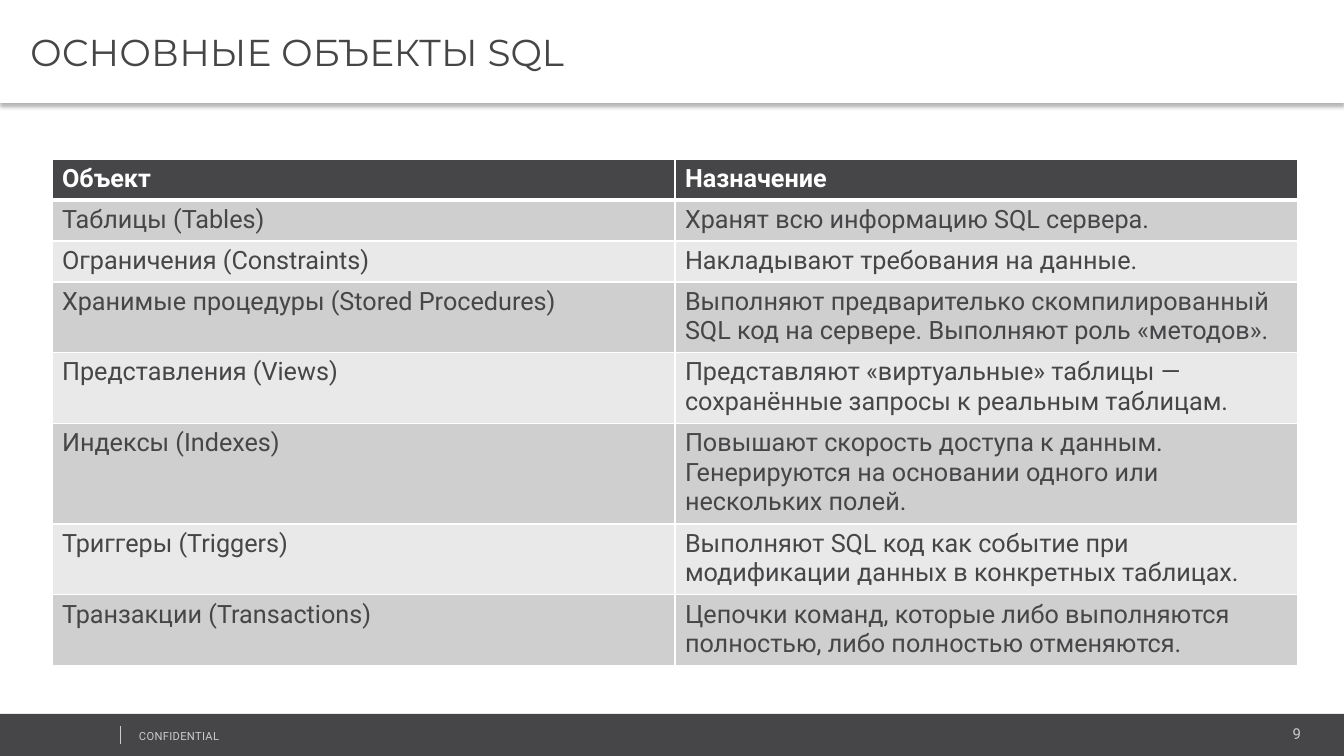
"""Build the slide with a table of the main SQL objects."""
from dataclasses import dataclass

from lxml.etree import SubElement
from pptx import Presentation
from pptx.dml.color import RGBColor
from pptx.enum.shapes import MSO_CONNECTOR, MSO_SHAPE
from pptx.enum.text import MSO_ANCHOR, MSO_AUTO_SIZE, PP_ALIGN
from pptx.oxml import parse_xml
from pptx.oxml.ns import nsdecls, qn
from pptx.util import Pt

TITLE = "ОСНОВНЫЕ ОБЪЕКТЫ SQL"
FOOTER = "CONFIDENTIAL"
PAGE = "9"
HEADER = ("Объект", "Назначение", 1)
OBJECTS = [
    ("Таблицы (Tables)", "Хранят всю информацию SQL сервера.", 1),
    ("Ограничения (Constraints)", "Накладывают требования на данные.", 1),
    ("Хранимые процедуры (Stored Procedures)",
     "Выполняют предварителько скомпилированный SQL код на сервере. "
     "Выполняют роль «методов».", 2),
    ("Представления (Views)",
     "Представляют «виртуальные» таблицы — сохранённые запросы к реальным таблицам.", 2),
    ("Индексы (Indexes)",
     "Повышают скорость доступа к данным. Генерируются на основании одного "
     "или нескольких полей.", 3),
    ("Триггеры (Triggers)",
     "Выполняют SQL код как событие при модификации данных в конкретных таблицах.", 2),
    ("Транзакции (Transactions)",
     "Цепочки команд, которые либо выполняются полностью, либо полностью отменяются.", 2),
]


@dataclass(frozen=True)
class Theme:
    dark: str = "464547"
    white: str = "FFFFFF"
    muted: str = "CCCCCC"
    bands: tuple = ("CFCFCF", "E9E9E9")
    heading: str = "Montserrat"
    body: str = "Roboto"
    title_size: float = 26.7
    table_size: float = 18
    page_size: float = 10.7
    footer_size: float = 8


THEME = Theme()
WIDTH, HEIGHT = 1344, 756
TABLE_LEFT, TABLE_TOP, COLUMN = 52, 159, 623
ROW, EXTRA_LINE = 41, 29


def px(n):
    return round(n * 914400 / 100.8)


def box(*lengths):
    return [px(n) for n in lengths]


def rgb(color):
    return RGBColor.from_string(color)


def write(tf, text, size, color, font=THEME.body, bold=False):
    tf.text = text
    r = tf.paragraphs[0].runs[0]
    r.font.size, r.font.name, r.font.bold = Pt(size), font, bold
    r.font.color.rgb = rgb(color)
    return r


def add_bar(slide, place, color):
    sp = slide.shapes.add_shape(MSO_SHAPE.RECTANGLE, *box(*place))
    sp.shadow.inherit = False
    sp.fill.solid()
    sp.fill.fore_color.rgb = rgb(color)
    sp.line.fill.background()
    return sp


def add_label(slide, place, text, size, align):
    tf = slide.shapes.add_textbox(*box(*place)).text_frame
    tf.word_wrap = True
    tf.auto_size = MSO_AUTO_SIZE.SHAPE_TO_FIT_TEXT
    r = write(tf, text, size, THEME.muted)
    tf.paragraphs[0].alignment = align
    return r


def add_footer(slide):
    add_bar(slide, (0, 714, WIDTH, HEIGHT - 714), THEME.dark)
    add_label(slide, (1091, 720, 220, 28), PAGE, THEME.page_size, PP_ALIGN.RIGHT)
    r = add_label(slide, (129, 724, 341, 24), FOOTER, THEME.footer_size, PP_ALIGN.LEFT)
    r.font._element.set("spc", "20")
    line = slide.shapes.add_connector(MSO_CONNECTOR.STRAIGHT, *box(120, 726, 120, 744))
    line.line.color.rgb = rgb(THEME.muted)
    line.line.width = Pt(0.25)
    SubElement(line._element.spPr, qn("a:effectLst"))


def add_title(slide):
    sp = add_bar(slide, (0, 0, WIDTH, 103), THEME.white)
    effects = sp._element.spPr.find(qn("a:effectLst"))
    effects.append(parse_xml(
        f'<a:outerShdw {nsdecls("a")} blurRad="{Pt(3.1)}" dist="{Pt(2)}" dir="5400000" '
        'algn="t" rotWithShape="0"><a:srgbClr val="000000"><a:alpha val="30000"/>'
        '</a:srgbClr></a:outerShdw>'))
    tf = sp.text_frame
    tf.word_wrap = True
    tf.vertical_anchor = MSO_ANCHOR.MIDDLE
    tf.margin_left, tf.margin_top, tf.margin_right, tf.margin_bottom = box(30, 4, 7, 4)
    write(tf, TITLE, THEME.title_size, THEME.dark, THEME.heading)
    tf.paragraphs[0].alignment = PP_ALIGN.LEFT


def set_borders(cell, row):
    widths = {"L": 1, "R": 1, "T": 3 if row == 1 else 1, "B": 3 if row == 0 else 1}
    for side, width in widths.items():
        cell._tc.get_or_add_tcPr().append(parse_xml(
            f'<a:ln{side} {nsdecls("a")} w="{Pt(width)}"><a:solidFill>'
            f'<a:srgbClr val="{THEME.white}"/></a:solidFill></a:ln{side}>'))


def add_objects_table(slide):
    rows = [HEADER, *OBJECTS]
    heights = [ROW + EXTRA_LINE * (lines - 1) for _, _, lines in rows]
    table = slide.shapes.add_table(
        len(rows), 2, *box(TABLE_LEFT, TABLE_TOP, 2 * COLUMN, sum(heights))).table
    for column in table.columns:
        column.width = px(COLUMN)
    for i, (name, purpose, _) in enumerate(rows):
        table.rows[i].height = px(heights[i])
        is_header = i == 0
        fill = THEME.dark if is_header else THEME.bands[(i - 1) % 2]
        color = THEME.white if is_header else THEME.dark
        for j, text in enumerate((name, purpose)):
            cell = table.cell(i, j)
            set_borders(cell, i)
            cell.fill.solid()
            cell.fill.fore_color.rgb = rgb(fill)
            write(cell.text_frame, text, THEME.table_size, color, bold=is_header)


def main():
    prs = Presentation()
    prs.slide_width, prs.slide_height = box(WIDTH, HEIGHT)
    slide = prs.slides.add_slide(prs.slide_layouts[6])
    add_footer(slide)
    add_objects_table(slide)
    add_title(slide)
    prs.save("out.pptx")


if __name__ == "__main__":
    main()
